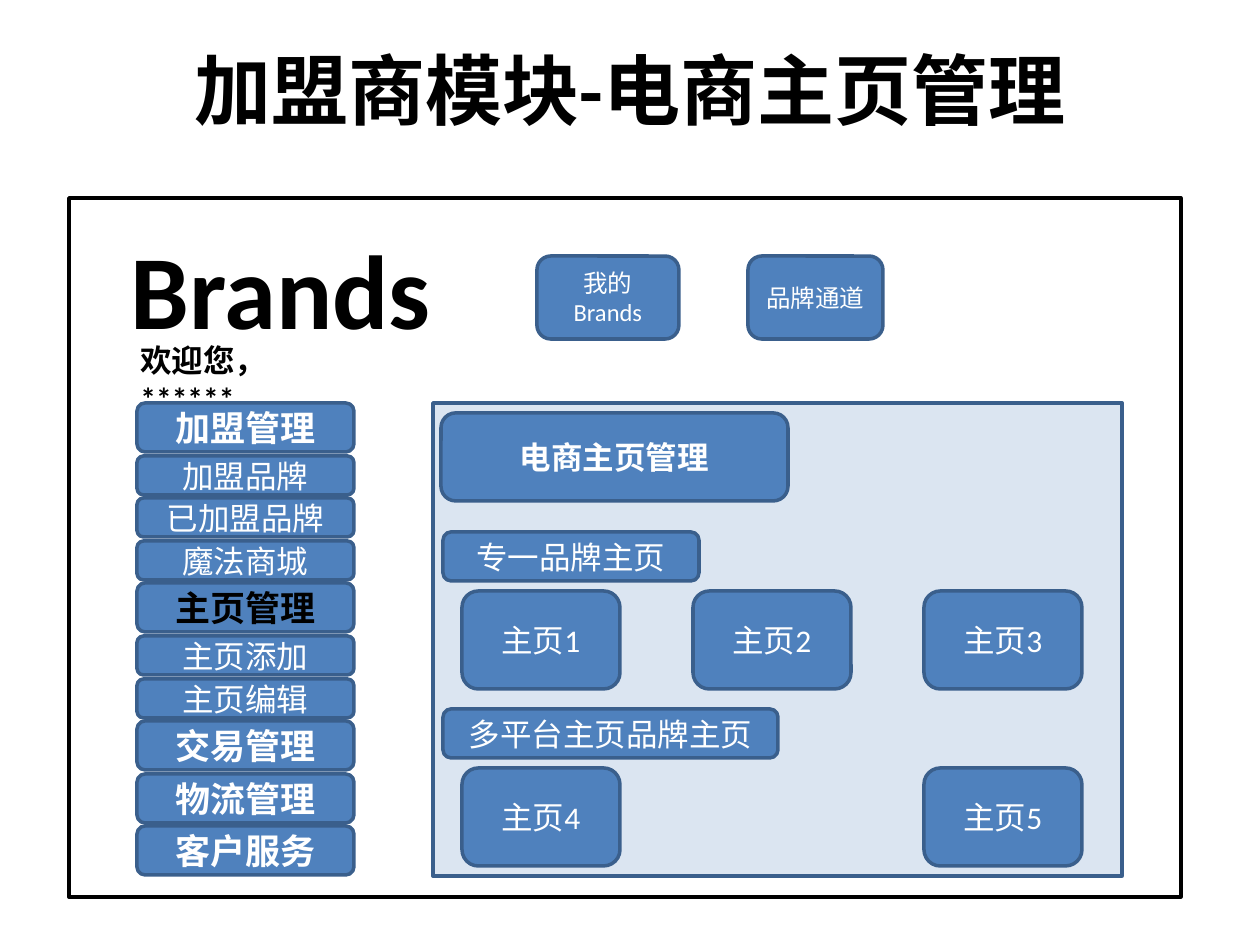
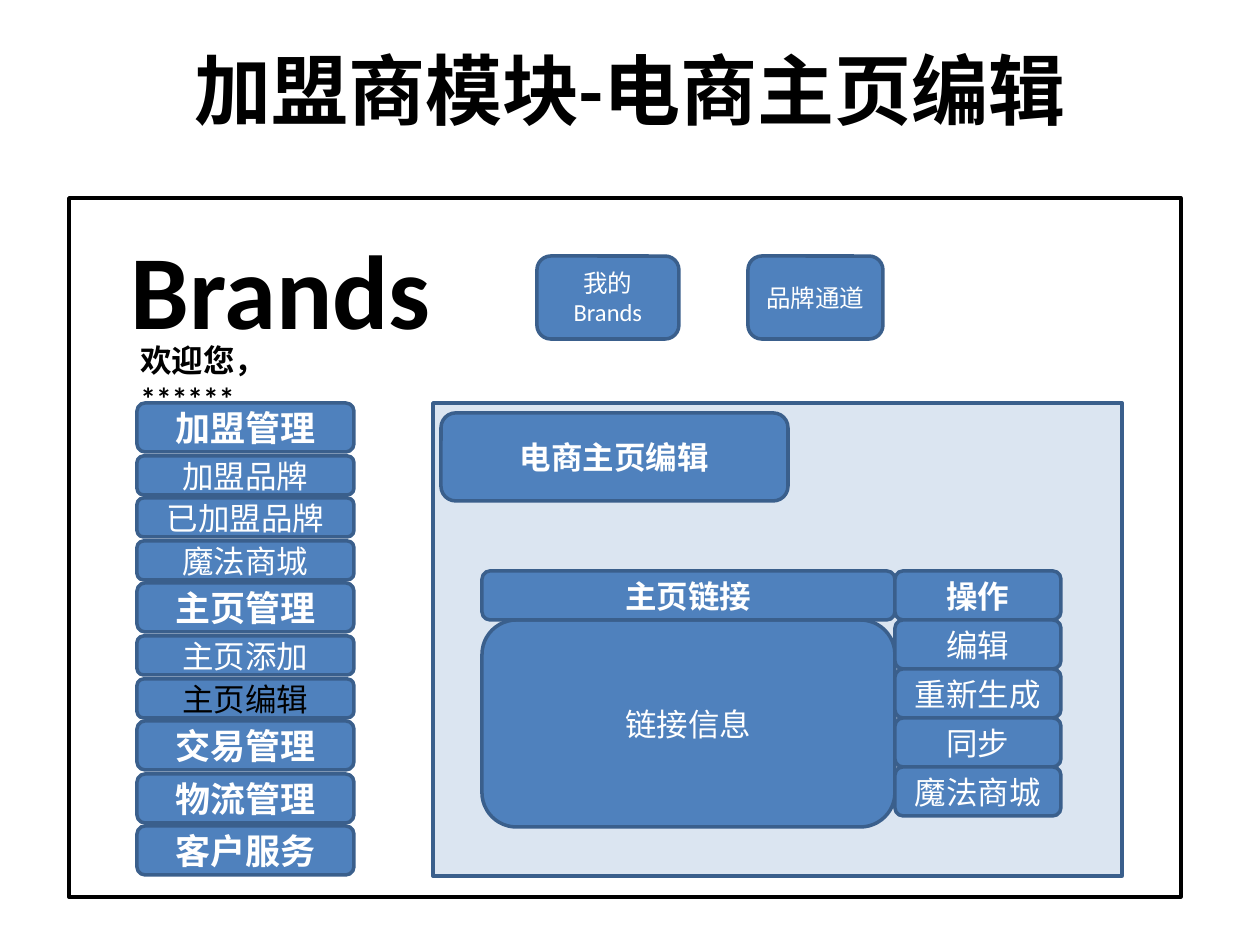
"""Build the two wireframe slides of the franchisee homepage module."""
from pptx import Presentation
from pptx.dml.color import RGBColor
from pptx.enum.shapes import MSO_SHAPE
from pptx.enum.text import MSO_ANCHOR, PP_ALIGN
from pptx.oxml.ns import qn
from pptx.util import Emu, Inches, Pt
from lxml.etree import SubElement

PX = 914400 // 126
FONT = "Calibri"
BLACK = RGBColor(0x00, 0x00, 0x00)
WHITE = RGBColor(0xFF, 0xFF, 0xFF)
BLUE = RGBColor(0x4F, 0x81, 0xBD)
NAVY = RGBColor(0x3A, 0x5F, 0x8C)

MODULE = "加盟商模块"
MENU = [
    ("加盟管理", True), ("加盟品牌", False), ("已加盟品牌", False),
    ("魔法商城", False), ("主页管理", True), ("主页添加", False),
    ("主页编辑", False), ("交易管理", True), ("物流管理", True),
    ("客户服务", True),
]
MENU_GAP = 3.6
ROW_H = 49
SUB_ROW_H = 39


def emu(*lengths):
    """Turn pixel lengths into EMU."""
    return [Emu(round(v) * PX) for v in lengths]


def write(s, text, align=PP_ALIGN.CENTER, anchor=MSO_ANCHOR.MIDDLE, **font):
    """Write one formatted paragraph into a shape."""
    tf = s.text_frame
    tf.word_wrap = True
    tf.vertical_anchor = anchor
    p = tf.paragraphs[0]
    p.alignment = align
    r = p.add_run()
    r.text = text
    r.font.name = FONT
    r.font.color.rgb = font.pop("color", BLACK)
    for name, value in font.items():
        setattr(r.font, name, value)


def add_label(slide, box, text, size, **layout):
    """Add a bold black text box."""
    s = slide.shapes.add_textbox(*emu(*box))
    write(s, text, size=Pt(size), bold=True, **layout)
    return s


def add_box(slide, kind, box, line, fill=None, alpha=None):
    """Add an outlined shape, optionally filled and translucent."""
    s = slide.shapes.add_shape(kind, *emu(*box))
    s.shadow.inherit = False
    s.line.color.rgb = line
    s.line.width = Pt(2)
    if fill is None:
        s.fill.background()
        return s
    s.fill.solid()
    s.fill.fore_color.rgb = fill
    if alpha is not None:
        color = s.element.spPr.find(qn("a:solidFill"))[0]
        SubElement(color, qn("a:alpha")).set("val", str(alpha * 1000))
    return s


def add_button(slide, box, text, size=18, bold=False, color=WHITE):
    """Add a rounded blue button with centred text."""
    s = add_box(slide, MSO_SHAPE.ROUNDED_RECTANGLE, box, NAVY, BLUE)
    write(s, text, size=Pt(size), bold=bold, color=color)


def add_menu(slide, current):
    """Stack the side menu and mark the current entry in black."""
    y = 403
    for text, main_entry in MENU:
        height = ROW_H if main_entry else SUB_ROW_H
        add_button(slide, (137, y, 217, height), text,
                   size=20 if main_entry else 18, bold=main_entry,
                   color=BLACK if text == current else WHITE)
        y += height + MENU_GAP


def add_page(prs, topic, current):
    """Add a slide with the shared title, frame, header, menu and panel."""
    slide = prs.slides.add_slide(prs.slide_layouts[6])
    left = {"align": PP_ALIGN.LEFT, "anchor": MSO_ANCHOR.TOP}
    add_label(slide, (63, 10, 1134, 158), f"{MODULE}-{topic}", 44)
    add_label(slide, (118, 218, 364, 140), "Brands", 60, **left)
    add_box(slide, MSO_SHAPE.RECTANGLE, (69, 198, 1112, 699), BLACK)
    welcome = add_label(slide, (128, 335, 248, 50), "欢迎您，******", 18, **left)
    welcome.text_frame.margin_right = emu(36)[0]
    add_box(slide, MSO_SHAPE.RECTANGLE, (433, 403, 689, 473), NAVY, BLUE, 20)
    add_button(slide, (441, 413, 347, 88), topic, bold=True)
    add_button(slide, (537, 256, 142, 83), "我的Brands", size=14)
    add_button(slide, (748, 256, 135, 83), "品牌通道", size=14)
    add_menu(slide, current)
    return slide


def add_homepage_groups(slide):
    """Add the homepage groups, each a heading above a three-column row."""
    groups = [
        ("专一品牌主页", 256, {0: "主页1", 1: "主页2", 2: "主页3"}),
        ("多平台主页品牌主页", 335, {0: "主页4", 2: "主页5"}),
    ]
    for row, (heading, width, pages) in enumerate(groups):
        y = 532 + 177 * row
        add_button(slide, (443, y, width, ROW_H), heading)
        for col, page in pages.items():
            add_button(slide, (462 + 231 * col, y + 59, 158, 98), page)


def add_link_editor(slide):
    """Add the link column and its stack of operations."""
    x, y, link_w = 482, 571, 413
    add_button(slide, (x, y + ROW_H, link_w, 207), "链接信息")
    add_button(slide, (x, y, link_w, ROW_H), "主页链接", bold=True)
    for i, text in enumerate(["操作", "编辑", "重新生成", "同步", "魔法商城"]):
        add_button(slide, (x + link_w, y + ROW_H * i, 166, ROW_H), text,
                   bold=i == 0)


def main():
    """Build and save the presentation."""
    prs = Presentation()
    prs.slide_width, prs.slide_height = Inches(10), Inches(7.5)
    add_homepage_groups(add_page(prs, "电商主页管理", "主页管理"))
    add_link_editor(add_page(prs, "电商主页编辑", "主页编辑"))
    prs.save("out.pptx")


main()
